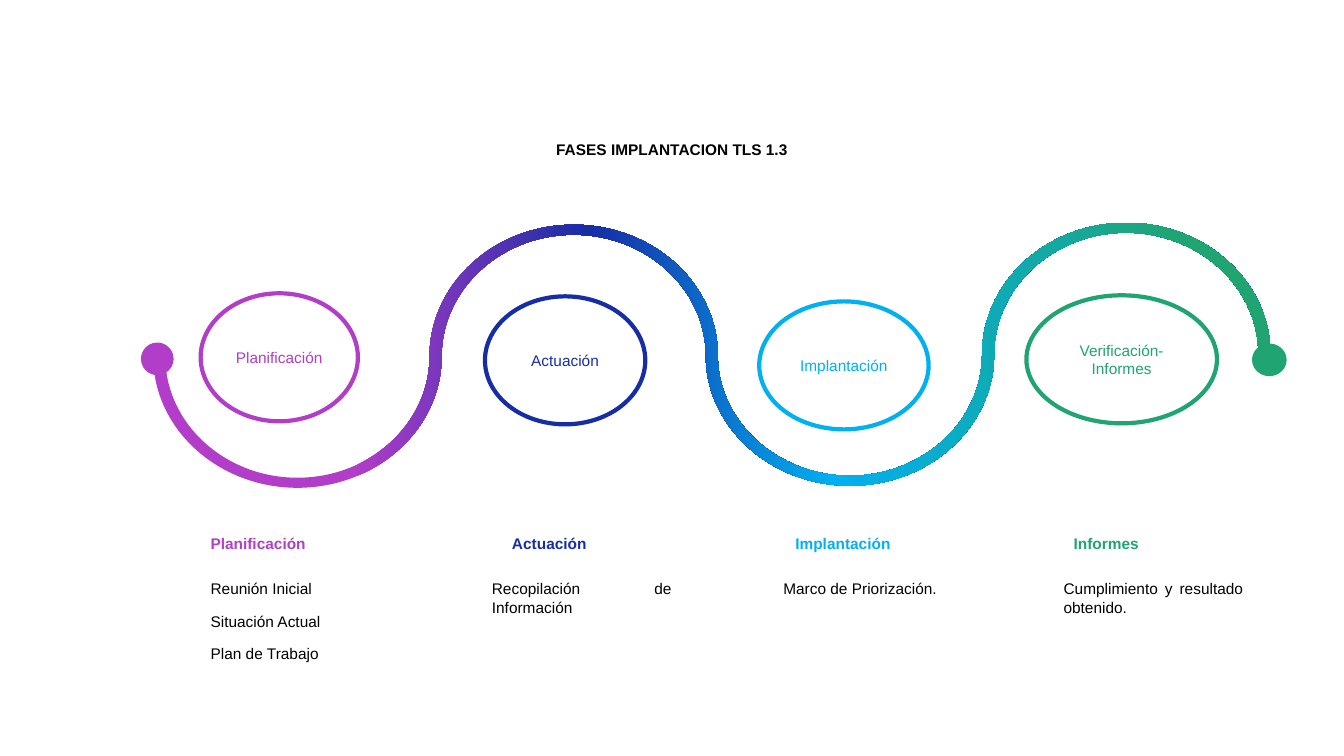
from lxml.etree import SubElement
from pptx import Presentation
from pptx.dml.color import RGBColor
from pptx.enum.shapes import MSO_SHAPE
from pptx.enum.text import MSO_ANCHOR, PP_ALIGN
from pptx.oxml.ns import qn
from pptx.util import Inches, Pt

PURPLE, NAVY, SKY, GREEN = "B13DC8", "172DA6", "00B0F0", "20A472"
BLACK, WHITE = "000000", "FFFFFF"
BEND = 0.55


def rgb(color):
    return RGBColor.from_string(color)


def write(tf, text, color=BLACK, bold=False, align=PP_ALIGN.LEFT,
          anchor=MSO_ANCHOR.TOP, spacing=1.0, before=0):
    tf.word_wrap = True
    tf.vertical_anchor = anchor
    for i, line in enumerate(text.split("\n")):
        p = tf.add_paragraph() if i else tf.paragraphs[0]
        p.alignment = align
        p.line_spacing = spacing
        p.space_before = Pt(before)
        r = p.add_run()
        r.text = line
        r.font.name = "Arial"
        r.font.size = Pt(11)
        r.font.bold = bold
        r.font.color.rgb = rgb(color)


def wave_edge(left, middle, rx, ry, dx, dy, arcs):
    points = [(left - dx, middle)]
    for i in range(arcs):
        down = 1 if i % 2 == 0 else -1
        cx, cy = left + rx * (2 * i + 1), middle - 0.01 * i
        w, h = rx + down * dx, down * ry + dy
        points += [(cx + u * w, cy + v * h) for u, v in
                   ((-1, BEND), (-BEND, 1), (0, 1), (BEND, 1), (1, BEND), (1, 0))]
    return [(Inches(x), Inches(y)) for x, y in points]


def curve(lines):
    for i in range(0, len(lines), 3):
        first = lines[i]
        bez = first.makeelement(qn("a:cubicBezTo"))
        first.addprevious(bez)
        for line in lines[i:i + 3]:
            bez.append(line[0])
            line.getparent().remove(line)


class Deck:
    def __init__(self, prs):
        self.slide = prs.slides.add_slide(prs.slide_layouts[5])

    def title(self, text, *box):
        sp = self.slide.shapes.title
        sp.left, sp.top, sp.width, sp.height = map(Inches, box)
        write(sp.text_frame, text, bold=True, align=PP_ALIGN.CENTER,
              spacing=0.9, before=10)

    def text(self, text, *box, **fmt):
        sp = self.slide.shapes.add_textbox(*map(Inches, box))
        write(sp.text_frame, text, before=10, **fmt)

    def ellipse(self, box, fill, line, weight, text=None):
        sp = self.slide.shapes.add_shape(MSO_SHAPE.OVAL, *map(Inches, box))
        sp.shadow.inherit = False
        sp.fill.solid()
        sp.fill.fore_color.rgb = rgb(fill)
        sp.line.color.rgb = rgb(line)
        sp.line.width = Pt(weight)
        if text:
            write(sp.text_frame, text, line, align=PP_ALIGN.CENTER,
                  anchor=MSO_ANCHOR.MIDDLE)

    def wave(self, left, middle, rx, ry, dx, dy, arcs, stops):
        lower = wave_edge(left, middle, rx, ry, dx, dy, arcs)
        upper = wave_edge(left, middle, rx, ry, -dx, -dy, arcs)[::-1]
        builder = self.slide.shapes.build_freeform(*lower[0], scale=1.0)
        builder.add_line_segments(lower[1:] + upper, close=True)
        sp = builder.convert_to_shape()
        lines = list(sp._element.spPr.iter(qn("a:lnTo")))
        cap = len(lower) - 1
        curve(lines[:cap])
        curve(lines[cap + 1:cap + len(upper)])
        sp.shadow.inherit = False
        sp.line.fill.background()
        sp.fill.gradient()
        sp.fill.gradient_angle = 0
        gs_list = sp._element.spPr.find(".//" + qn("a:gsLst"))
        for gs in list(gs_list):
            gs_list.remove(gs)
        for pos, color in stops:
            gs = SubElement(gs_list, qn("a:gs"), pos=str(pos * 1000))
            SubElement(gs, qn("a:srgbClr"), val=color)


prs = Presentation()
prs.slide_width, prs.slide_height = Inches(13.33), Inches(7.5)
deck = Deck(prs)
deck.title("FASES IMPLANTACION TLS 1.3", 0.25, 1.36, 12.83, 0.69)

ovals = [
    (NAVY, "Actuación", (4.81, 2.94, 1.59, 1.27)),
    (SKY, "Implantación", (7.53, 2.99, 1.68, 1.27)),
    (GREEN, "Verificación-Informes", (10.18, 2.93, 1.89, 1.27)),
    (PURPLE, "Planificación", (1.99, 2.91, 1.56, 1.27)),
]
for color, label, box in ovals:
    deck.ellipse(box, WHITE, color, 3, label)

deck.wave(1.58, 3.54, 1.37, 1.25, 0.06, 0.05, len(ovals),
          [(18, PURPLE), (39, NAVY), (61, SKY), (92, GREEN)])
deck.ellipse((1.44, 3.44, 0.24, 0.24), PURPLE, PURPLE, 6)
deck.ellipse((12.46, 3.45, 0.26, 0.24), GREEN, GREEN, 6)

phases = [
    (PURPLE, "Planificación", 1.99,
     "Reunión Inicial\nSituación Actual\nPlan de Trabajo", 1.99),
    (NAVY, "Actuación", 4.98, "Recopilación de Información", 4.78),
    (SKY, "Implantación", 7.79, "Marco de Priorización.", 7.67),
    (GREEN, "Informes", 10.55, "Cumplimiento y resultado obtenido.", 10.45),
]
for color, heading, heading_left, detail, detail_left in phases:
    deck.text(heading, heading_left, 5.27, 1.96, 0.33,
              color=color, bold=True, spacing=0.9)
    deck.text(detail, detail_left, 5.7, 1.98, 0.77, align=PP_ALIGN.JUSTIFY)

prs.save("out.pptx")
